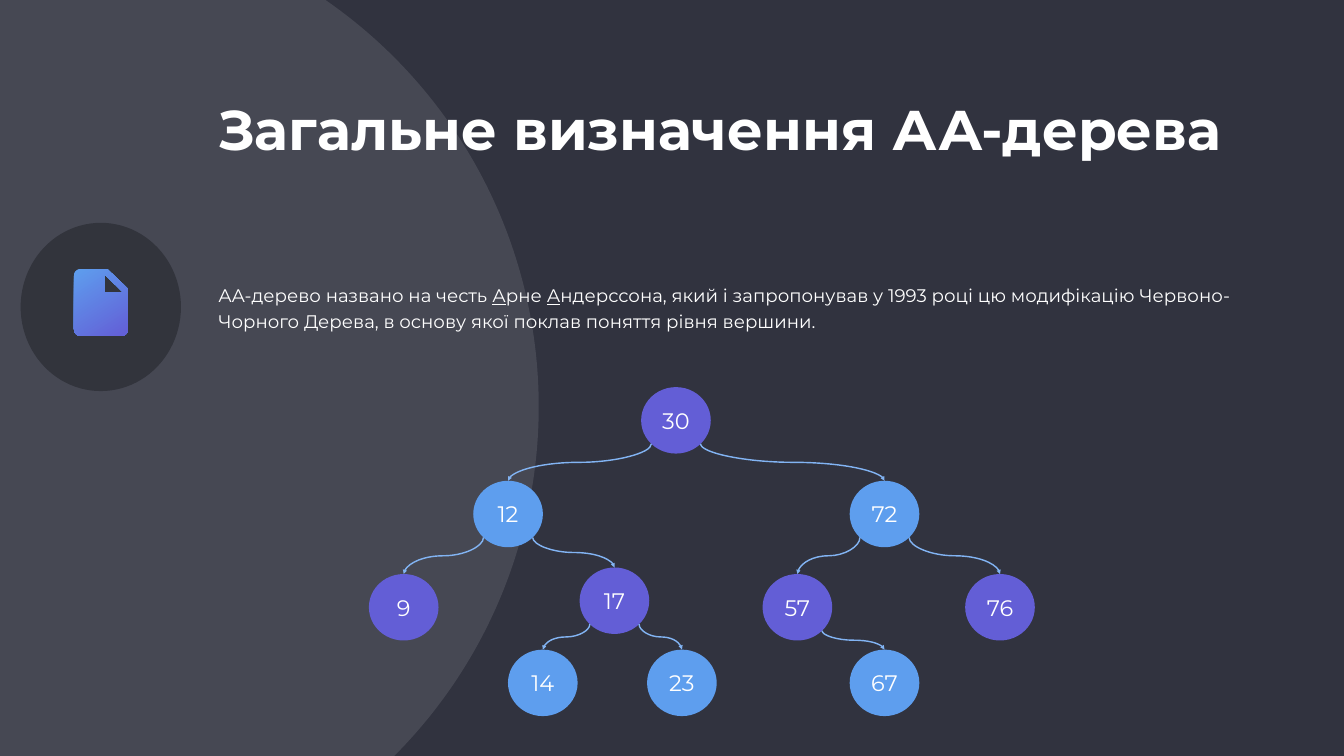
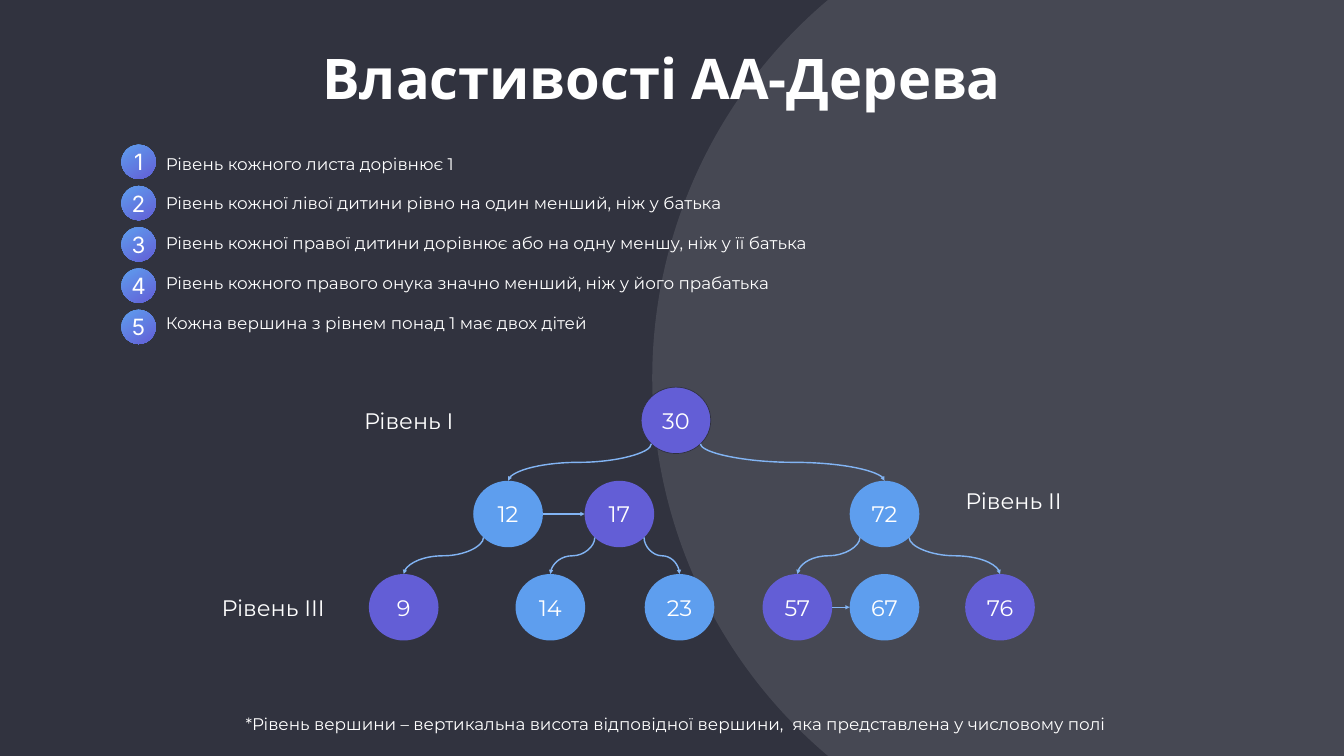
from math import cos, sin, radians, sqrt
from pptx import Presentation
from pptx.util import Cm, Pt
from pptx.dml.color import RGBColor as RGB
from pptx.enum.shapes import MSO_SHAPE as SHAPE, MSO_CONNECTOR as LINE
from pptx.enum.text import PP_ALIGN as ALIGN, MSO_ANCHOR as ANCHOR
from pptx.oxml.ns import qn
from lxml.etree import SubElement as Sub

WIDE, HIGH = 67.73, 38.1
BACK, DISC, DARK, WHITE = "31333F", "464853", "32343C", "FFFFFF"
VIOLET, BLUE, PALE, EDGE = "635ED6", "5E9EEE", "82B4F3", "2F313F"
FONT = "Montserrat"
BIG = 49.83
NODE_W, NODE_H = 3.51, 3.35
PAD = 0.15

TITLES = ["Загальне визначення АА-дерева", "Властивості АА-Дерева"]
ABOUT = [
    ("АA-дерево названо на честь ", False),
    ("А", True),
    ("рне ", False),
    ("А", True),
    ("ндерссона, який і запропонував у 1993 році цю модифікацію "
     "Червоно-Чорного Дерева, в основу якої поклав поняття рівня вершини.", False),
]
RULES = [
    "Рівень кожного листа дорівнює 1",
    "Рівень кожної лівої дитини рівно на один менший, ніж у батька",
    "Рівень кожної правої дитини дорівнює або на одну меншу, ніж у її батька",
    "Рівень кожного правого онука значно менший, ніж у його прабатька",
    "Кожна вершина з рівнем понад 1 має двох дітей",
]
LEVELS = [
    ("Рівень I", 16.84, 20.5),
    ("Рівень II", 47.32, 24.56),
    ("Рівень III", 10.01, 29.92),
]
NOTE = ("*Рівень вершини – вертикальна висота відповідної вершини,  "
        "яка представлена у числовому полі")

TOP, MID, LOW, LEAF = 19.51, 24.23, 28.93, 32.74
TREE = {
    30: (32.31, TOP), 12: (23.85, MID), 72: (42.82, MID),
    9: (18.59, LOW), 17: (29.21, 28.6), 57: (38.43, LOW), 76: (48.64, LOW),
    14: (25.6, LEAF), 23: (32.61, LEAF), 67: (42.82, LEAF),
}
FLAT = {**TREE, 17: (29.46, MID), 14: (25.98, LOW), 23: (32.49, LOW), 67: (42.82, LOW)}
TINTS = {n: VIOLET if n in (30, 9, 17, 57, 76) else BLUE for n in TREE}
LINKS = [(30, 12), (30, 72), (12, 9), (12, 17), (17, 14), (17, 23),
         (72, 57), (72, 76), (57, 67)]


def tint(code):
    return RGB.from_string(code)


def box(at):
    return [Cm(v) for v in at]


def fade(shape):
    shape.fill.gradient()
    shape.fill.gradient_angle = 303
    for stop, code in zip(shape.fill.gradient_stops, (BLUE, VIOLET)):
        stop.color.rgb = tint(code)


def clean(shape, code=None):
    shape.shadow.inherit = False
    shape.line.fill.background()
    if code:
        shape.fill.solid()
        shape.fill.fore_color.rgb = tint(code)
    else:
        fade(shape)
    return shape


def oval(page, at, code=None, kind=SHAPE.OVAL):
    return clean(page.shapes.add_shape(kind, *box(at)), code)


def frame(shape, pad=0, anchor=ANCHOR.MIDDLE):
    text = shape.text_frame
    text.word_wrap = True
    text.vertical_anchor = anchor
    text.margin_left = text.margin_right = Cm(pad)
    text.margin_top = text.margin_bottom = Cm(pad)
    return text


def write(para, words, size, font=FONT, align=ALIGN.CENTER, bold=False, under=False):
    para.alignment = align
    run = para.add_run()
    run.text = words
    face = run.font
    face.size, face.name, face.bold = Pt(size), font, bold
    face.underline = under
    face.color.rgb = tint(WHITE)


def label(page, at, pad=0, anchor=ANCHOR.MIDDLE):
    return frame(page.shapes.add_textbox(*box(at)), pad, anchor)


def start(deck, left, top):
    page = deck.slides.add_slide(deck.slide_layouts[6])
    page.background.fill.solid()
    page.background.fill.fore_color.rgb = tint(BACK)
    oval(page, (left, top, BIG, BIG), DISC)
    return page


def title(page, words, at, font, align):
    write(label(page, at, PAD).paragraphs[0], words, 80, font, align, True)


def glue(line, name, shape, site):
    props = line.element.find(".//" + qn("p:cNvCxnSpPr"))
    Sub(props, qn(name), id=str(shape.shape_id), idx=str(site))


def link(page, spots, nodes, head, child):
    (px, py), (cx, cy) = spots[head], spots[child]
    if py == cy:
        y = py + NODE_H / 2
        ends, turn, sites = (px + NODE_W, y, cx, y), 0, (6, 2)
    else:
        side = 1 if cx > px else -1
        x1 = px + NODE_W / 2 + side * NODE_W / 2 / sqrt(2)
        y1 = py + NODE_H / 2 + NODE_H / 2 / sqrt(2)
        x2, y2 = cx + NODE_W / 2, cy
        mx, my = (x1 + x2) / 2, (y1 + y2) / 2
        run, rise = -side * (y2 - y1) / 2, abs(x2 - x1) / 2
        ends = (mx - run, my - rise, mx + run, my + rise)
        turn, sites = (270 if side > 0 else 90), (5 if side > 0 else 3, 0)
    line = page.shapes.add_connector(LINE.CURVE, *box(ends))
    line.line.width = Pt(2)
    line.line.color.rgb = tint(PALE)
    Sub(line.line._get_or_add_ln(), qn("a:tailEnd"), type="triangle")
    form = line.element.spPr
    Sub(form, qn("a:effectLst"))
    if turn:
        form.find(qn("a:xfrm")).set("rot", str(turn * 60000))
    glue(line, "a:stCxn", nodes[head], sites[0])
    glue(line, "a:endCxn", nodes[child], sites[1])


def plant(page, spots):
    nodes = {}
    for num, (x, y) in spots.items():
        node = oval(page, (x, y, NODE_W, NODE_H), TINTS[num], SHAPE.FLOWCHART_CONNECTOR)
        write(frame(node).paragraphs[0], str(num), 32)
        nodes[num] = node
    for head, child in LINKS:
        link(page, spots, nodes, head, child)
    return nodes


def arc(x, y, r, first):
    turns = [radians(first - 15 * i) for i in range(7)]
    return [(x + r * cos(t), y + r * sin(t)) for t in turns]


def sheet(page):
    left, top, right, base, r = 3.73, 13.56, 6.45, 16.93, 0.33
    edge = (arc(left + r, top + r, r, 270) + arc(left + r, base - r, r, 180)
            + arc(right - r, base - r, r, 90) + [(right, 14.55), (5.41, top)])
    fold = [(5.26, 14.73), (5.26, 13.82), (6.2, 14.73)]
    edge, fold = [[box(p) for p in part] for part in (edge, fold)]
    pen = page.shapes.build_freeform(*edge[0])
    pen.add_line_segments(edge[1:])
    pen.move_to(*fold[0])
    pen.add_line_segments(fold[1:])
    clean(pen.convert_to_shape())


deck = Presentation()
deck.slide_width, deck.slide_height = Cm(WIDE), Cm(HIGH)

page = start(deck, -22.68, -4.42)
oval(page, (1.04, 11.23, 8.08, 8.48), DARK)
sheet(page)
title(page, TITLES[0], (10.85, 4.62, 52.07, 3.71), FONT, ALIGN.LEFT)
para = label(page, (10.85, 13.97, 53.42, 2.95), PAD, ANCHOR.TOP).paragraphs[0]
para.line_spacing = 1.2
para.space_before = Pt(20)
for words, under in ABOUT:
    write(para, words, 26, align=ALIGN.LEFT, under=under)
plant(page, TREE)

page = start(deck, 32.87, -5.87)
title(page, TITLES[1], (5.46, 2.01, 55.8, 3.71), "Open Sans", ALIGN.CENTER)
text = label(page, (5.94, 7.49, 55.35, 9.53), PAD)
for i, words in enumerate(RULES):
    para = text.add_paragraph() if i else text.paragraphs[0]
    para.space_before = Pt(28.2 if i else 0)
    para._p.get_or_add_pPr().set("marL", str(Cm(2.27)))
    write(para, words, 24, align=ALIGN.LEFT)
    dot = oval(page, (6.12, 7.29 + 2.08 * i, 1.73, 1.73))
    write(frame(dot).paragraphs[0], str(i + 1), 32, "Inter")
root = plant(page, FLAT)[30]
root.line.color.rgb = tint(EDGE)
root.line.width = Pt(1)
for words, x, y in LEVELS:
    write(label(page, (x, y, 7.52, 1.37)).paragraphs[0], words, 32)
para = label(page, (0.17, 35.81, WIDE, 1.24), 0.13, ANCHOR.TOP).paragraphs[0]
para.line_spacing = 1.02
write(para, NOTE, 24)

deck.save("out.pptx")
